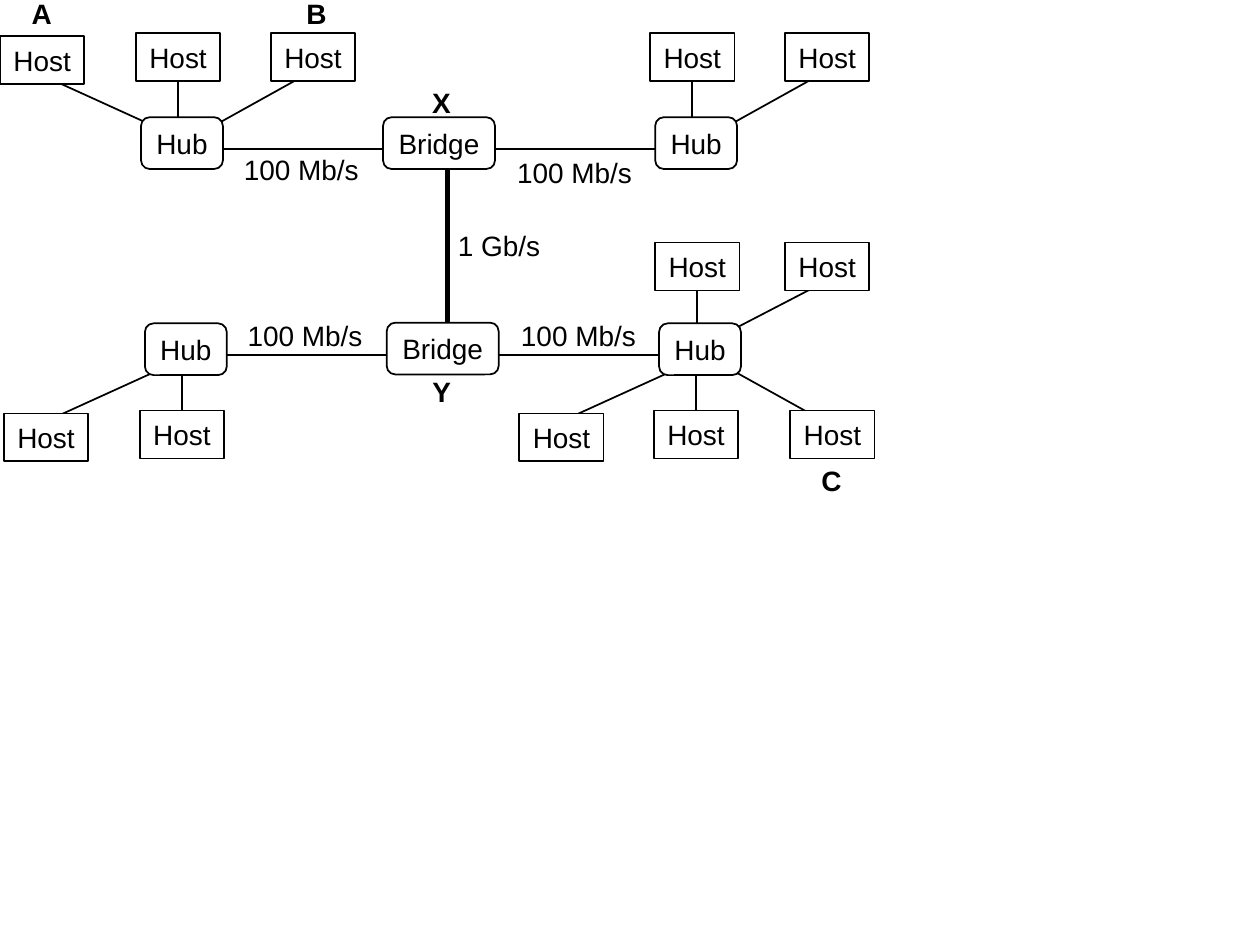
from pptx import Presentation
from pptx.dml.color import RGBColor
from pptx.enum.shapes import MSO_CONNECTOR, MSO_SHAPE
from pptx.enum.text import MSO_ANCHOR, PP_ALIGN
from pptx.util import Pt
from lxml.etree import SubElement
from pptx.oxml.ns import qn

BLACK, WHITE = "000000", "FFFFFF"
HOST_SIZE, HUB_SIZE, BRIDGE_SIZE = (48.2, 27.4), (46.8, 29.6), (64, 29.6)
LABEL_HEIGHT = 26.6

# Hubs: left, top, and hosts as (side, slot, nudge right, nudge down)
hubs = [
    (80.6, 67, [("above", "left", 0, 0), ("above", "middle", 0, 0), ("above", "right", 0, 0)]),
    (374.4, 67, [("above", "middle", 0, 0), ("above", "right", 0, 0)]),
    (82.8, 184.8, [("below", "left", 0, 0), ("below", "middle", 0, 0)]),
    (376.6, 184.8, [("above", "middle", 0.7, 2), ("above", "right", -2.2, 2),
                    ("below", "left", 0.8, 0), ("below", "middle", 0, 0),
                    ("below", "right", 0.8, 0)]),
]
bridges = [(218.9, 67), (221, 184.4)]

# Offsets from a hub's corner: host left, wire x at hub, wire x at host
slots = {
    "left": (-80.6, 9.4, -56.6),
    "middle": (-2.9, 21.2, 21.2),
    "right": (74.2, 39.6, 93.6),
}
# Offsets from a hub's corner: host top, wire y at hub, wire y at host,
# drop of the left host, host side facing the hub
sides = {
    "above": (-48.2, 6, -24, 1.8, 2),
    "below": (49.8, 26, 56, 1.6, 0),
}

# Labels: text, left, top, width, bold
labels = [
    ("100 Mb/s", 131.8, 83.5, 80.6, False),
    ("100 Mb/s", 288, 85.2, 80.6, False),
    ("100 Mb/s", 134, 178.6, 80.6, False),
    ("100 Mb/s", 290.2, 178.6, 80.6, False),
    ("1 Gb/s", 254.2, 126.9, 61.9, False),
    ("A", 10.8, -5.8, 26, True),
    ("B", 167.8, -5.8, 26, True),
    ("C", 462.2, 261.4, 26, True),
    ("X", 239.6, 45.4, 25.2, True),
    ("Y", 239.8, 210.2, 25.2, True),
]

prs = Presentation()
prs.slide_width, prs.slide_height = Pt(720), Pt(540)
slide = prs.slides.add_slide(prs.slide_layouts[6])


def color(value):
    return RGBColor.from_string(value)


def add_wire(x1, y1, x2, y2, width=1):
    wire = slide.shapes.add_connector(MSO_CONNECTOR.STRAIGHT, Pt(x1), Pt(y1), Pt(x2), Pt(y2))
    wire.line.color.rgb = color(BLACK)
    wire.line.width = Pt(width)
    SubElement(wire._element.spPr, qn("a:effectLst"))
    return wire


def write(shape, text, bold=False):
    frame = shape.text_frame
    frame.word_wrap = False
    frame.vertical_anchor = MSO_ANCHOR.MIDDLE
    paragraph = frame.paragraphs[0]
    paragraph.alignment = PP_ALIGN.CENTER
    run = paragraph.add_run()
    run.text = text
    run.font.name, run.font.size, run.font.bold = "Arial", Pt(16), bold
    run.font.color.rgb = color(BLACK)


def add_node(kind, text, left, top, size):
    node = slide.shapes.add_shape(kind, Pt(left), Pt(top), Pt(size[0]), Pt(size[1]))
    node.shadow.inherit = False
    node.fill.solid()
    node.fill.fore_color.rgb = color(WHITE)
    node.line.color.rgb = color(BLACK)
    node.line.width = Pt(1)
    write(node, text)
    return node


# Links between hubs and bridges, then the trunk, all beneath the nodes
for (bridge_x, _), (left_hub, right_hub) in zip(bridges, (hubs[:2], hubs[2:])):
    link_y = left_hub[1] + 18
    add_wire(left_hub[0] + 43.2, link_y, bridge_x + 7, link_y)
    add_wire(bridge_x + 61, link_y, right_hub[0] + 7.2, link_y)
add_wire(255.6, 97, 255.6, 187, width=3)

# Hosts and their wires
for hub_x, hub_y, hosts in hubs:
    for side, slot, right, down in hosts:
        host_x, hub_end_x, host_end_x = (hub_x + right + dx for dx in slots[slot])
        host_dy, hub_end_dy, host_end_dy, drop, facing = sides[side]
        wire = add_wire(hub_end_x, hub_y + hub_end_dy, host_end_x, hub_y + host_end_dy + down)
        host_y = hub_y + host_dy + down + (drop if slot == "left" else 0)
        host = add_node(MSO_SHAPE.RECTANGLE, "Host", host_x, host_y, HOST_SIZE)
        if slot == "middle":
            wire.end_connect(host, facing)

# Hubs and bridges
for hub_x, hub_y, _ in hubs:
    add_node(MSO_SHAPE.ROUNDED_RECTANGLE, "Hub", hub_x, hub_y, HUB_SIZE)
for bridge_x, bridge_y in bridges:
    add_node(MSO_SHAPE.ROUNDED_RECTANGLE, "Bridge", bridge_x, bridge_y, BRIDGE_SIZE)

# Speeds and node letters
for text, left, top, width, bold in labels:
    label = slide.shapes.add_textbox(Pt(left), Pt(top), Pt(width), Pt(LABEL_HEIGHT))
    write(label, text, bold)

prs.save("out.pptx")
